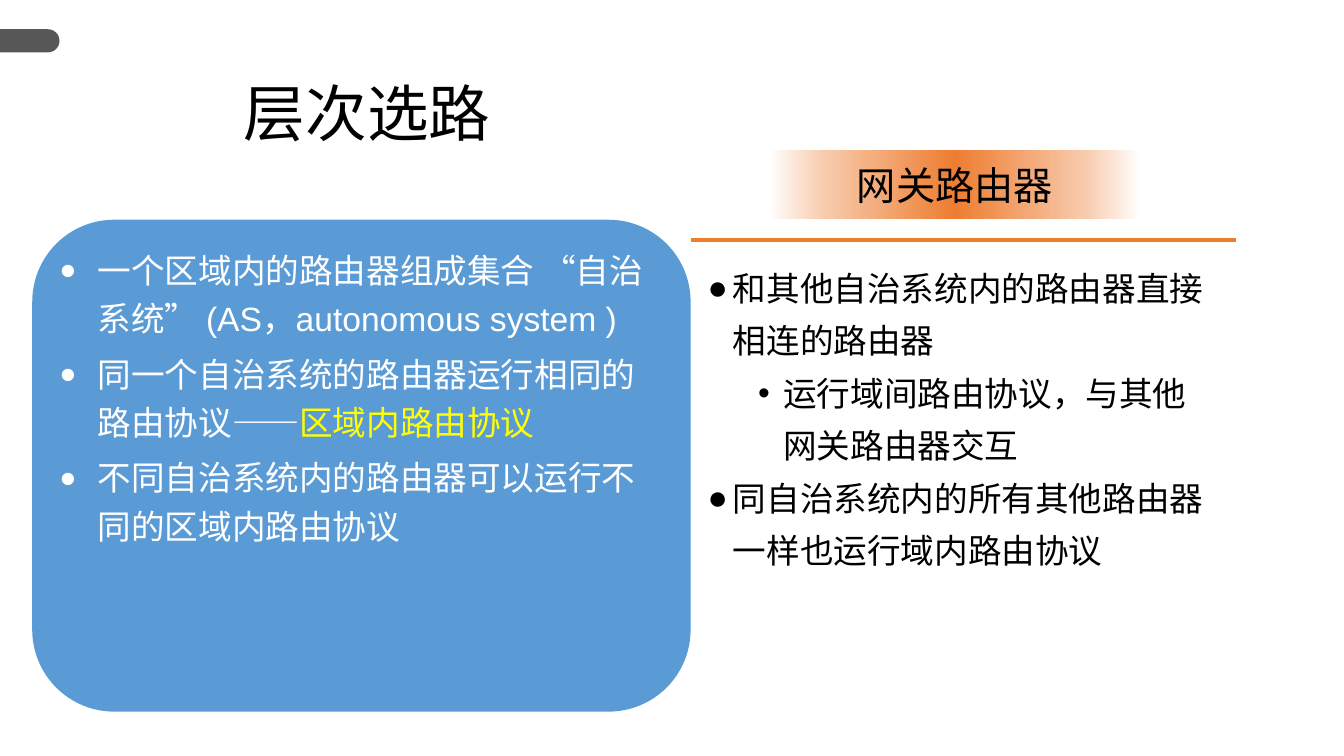
import pptx
import pptx.util
import pptx.dml.color
import pptx.enum.shapes
import pptx.enum.text
import pptx.oxml
import pptx.oxml.ns
import lxml.etree

RGB = pptx.dml.color.RGBColor
Pt = pptx.util.Pt
Shape = pptx.enum.shapes.MSO_SHAPE
Anchor = pptx.enum.text.MSO_ANCHOR
Align = pptx.enum.text.PP_ALIGN
qn = pptx.oxml.ns.qn

GREY = RGB(0x57, 0x57, 0x57)
BLUE = RGB(0x5B, 0x9B, 0xD5)
ORANGE = RGB(0xED, 0x7D, 0x31)
PEACH = RGB(0xF8, 0xCB, 0xAD)
WHITE = RGB(0xFF, 0xFF, 0xFF)
BLACK = RGB(0, 0, 0)
YELLOW = RGB(0xFF, 0xFF, 0)

PX = 9144  # 100 px to the inch

LEFT = [
    (0, [("一个区域内的路由器组成集合 “自治系统” (AS，autonomous system )", WHITE)]),
    (0, [("同一个自治系统的路由器运行相同的路由协议——", WHITE),
         ("区域内路由协议", YELLOW)]),
    (0, [("不同自治系统内的路由器可以运行不同的区域内路由协议", WHITE)]),
]
RIGHT = [
    (0, [("和其他自治系统内的路由器直接相连的路由器", BLACK)]),
    (1, [("运行域间路由协议，与其他网关路由器交互", BLACK)]),
    (0, [("同自治系统内的所有其他路由器一样也运行域内路由协议", BLACK)]),
]


def px(*nums):
    return [round(n * PX) for n in nums]


def block(slide, kind, box, fill=None):
    """Add a flat preset shape without outline."""
    shape = slide.shapes.add_shape(kind, *px(*box))
    shape.shadow.inherit = False
    shape.line.fill.background()
    if fill is not None:
        shape.fill.solid()
        shape.fill.fore_color.rgb = fill
    return shape


def write(para, text, size, color, face="Arial"):
    run = para.add_run()
    run.text = text
    look = {"size": Pt(size), "name": face}
    for key, value in look.items():
        setattr(run.font, key, value)
    run.font.color.rgb = color
    if face != "Arial":
        east = lxml.etree.SubElement(run.font._element, qn("a:ea"))
        east.set("typeface", face)


def frame(slide, box):
    text = slide.shapes.add_textbox(*px(*box)).text_frame
    text.word_wrap = True
    return text


def bullet(para, mark, left, hang, scale):
    props = para._p.get_or_add_pPr()
    for key, value in zip(("marL", "indent"), px(left, -hang)):
        props.set(key, str(value))
    for tag, key, value in (("a:buSzPct", "val", str(scale * 1000)),
                            ("a:buFont", "typeface", "Arial"),
                            ("a:buChar", "char", mark)):
        lxml.etree.SubElement(props, qn(tag)).set(key, value)


def points(slide, box, items, hang, lead, gap=0, scale=100):
    """Write bulleted paragraphs, each a level and its coloured runs."""
    text = frame(slide, box)
    for i, (level, runs) in enumerate(items):
        para = text.paragraphs[0] if i == 0 else text.add_paragraph()
        bullet(para, "●•"[level], hang + 50 * level, hang, scale)
        look = {"level": level, "line_spacing": lead,
                "space_before": Pt(gap if i else 0)}
        for key, value in look.items():
            setattr(para, key, value)
        for words, color in runs:
            write(para, words, 24, color)


def tab(slide, box):
    """Draw the page tab, a half pill with its round end to the right."""
    x, y, w, h = box
    turned = (x + (w - h) / 2, y + (h - w) / 2, h, w)
    shape = block(slide, Shape.ROUND_2_SAME_RECTANGLE, turned, GREY)
    shape.adjustments[0] = 0.5
    shape.rotation = 90


def title(slide, box):
    para = frame(slide, box).paragraphs[0]
    para.line_spacing = 0.9
    write(para, "层次选路", 44, BLACK)


def panel(slide, box):
    x, y, w, h = box
    block(slide, Shape.ROUNDED_RECTANGLE, box, BLUE)
    points(slide, (x + 17, y + 17, w - 34, h - 73), LEFT, 38, 1.2, 5, 85)


def label(slide, box):
    shape = block(slide, Shape.RECTANGLE, box)
    shape.fill.gradient()
    shape.fill.gradient_angle = 0
    stops = shape.fill._fill._gradFill.find(qn("a:gsLst"))
    for old in list(stops):
        stops.remove(old)
    for spot, color in ((0, WHITE), (15, PEACH), (50, ORANGE),
                        (85, PEACH), (100, WHITE)):
        stop = lxml.etree.SubElement(stops, qn("a:gs"), pos=str(spot * 1000))
        lxml.etree.SubElement(stop, qn("a:srgbClr"), val=str(color))
    text = shape.text_frame
    text.vertical_anchor = Anchor.MIDDLE
    para = text.paragraphs[0]
    para.alignment = Align.CENTER
    write(para, "网关路由器", 28, BLACK, "Noto Sans CJK SC")


def rule(slide, x, y, w):
    line = slide.shapes.add_connector(
        pptx.enum.shapes.MSO_CONNECTOR.STRAIGHT, *px(x, y, x + w, y))
    line.line.color.rgb = ORANGE
    line.line.width = Pt(3)
    lxml.etree.SubElement(line._element.spPr, qn("a:effectLst"))


def router(slide, box):
    """Place the heading, the rule and the list of the right column."""
    x, y, w, h = box
    label(slide, (x + 77, y, 370, 68))
    rule(slide, x, y + 89, w)
    points(slide, (x + 7, y + 100, 518, h - 100), RIGHT, 25, 1.3)


def main():
    deck = pptx.Presentation()
    deck.slide_width, deck.slide_height = px(1333, 750)
    slide = deck.slides.add_slide(deck.slide_layouts[6])
    tab(slide, (0, 29, 59, 23))
    title(slide, (232, 78, 1127 - 26, 125))
    panel(slide, (32, 218, 653, 488))
    router(slide, (685, 149, 541, 584))
    deck.save("out.pptx")


if __name__ == "__main__":
    main()
